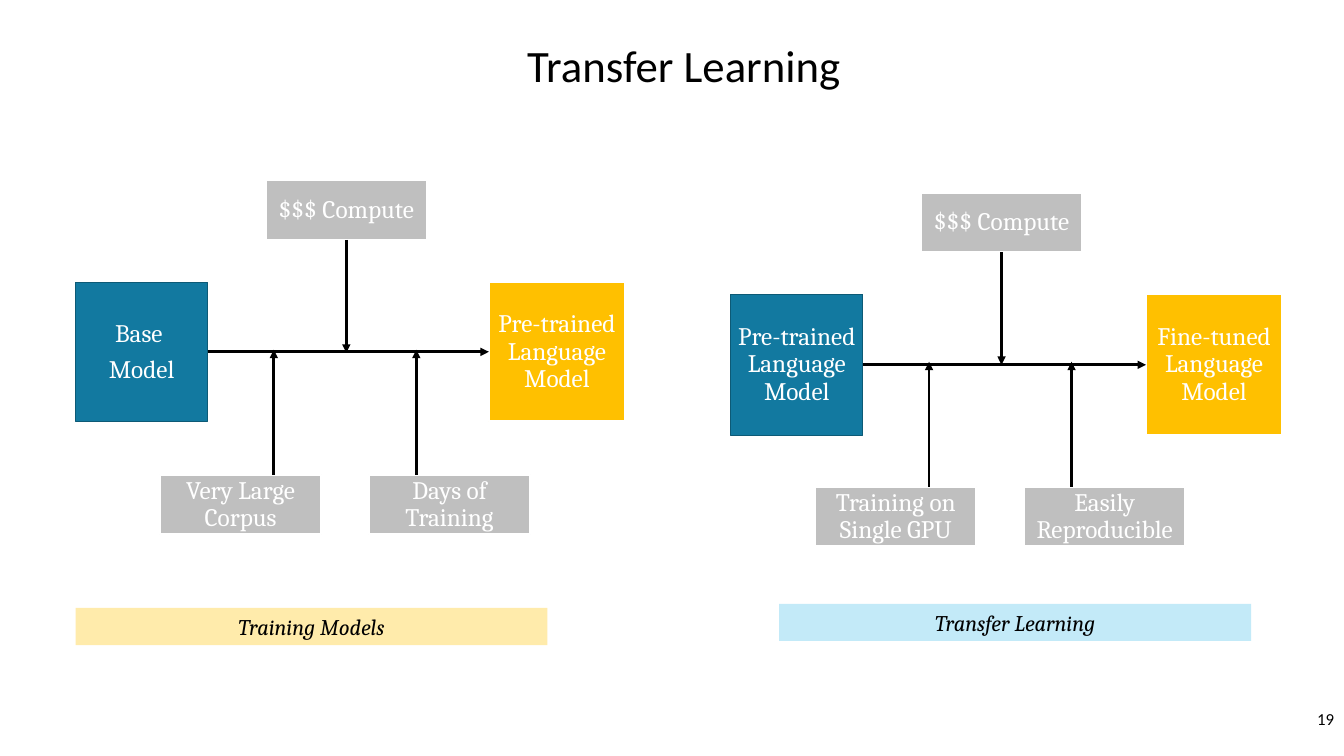
import pptx
import pptx.util
import pptx.dml.color
import pptx.enum.shapes
import pptx.enum.text
import pptx.oxml
import pptx.oxml.ns

Pt = pptx.util.Pt
ALIGN = pptx.enum.text.PP_ALIGN
ANCHOR = pptx.enum.text.MSO_ANCHOR


def color(value):
    return pptx.dml.color.RGBColor.from_string(value)


def add_box(place, lines, fill=None, border=None, border_width=1.5, size=18, font="Cambria",
            ink="FFFFFF", italic=False, align=ALIGN.CENTER, anchor=ANCHOR.MIDDLE,
            insets=(1.44, 1.44), spacing=None, after=None):
    box = slide.shapes.add_shape(pptx.enum.shapes.MSO_SHAPE.RECTANGLE, *[Pt(n) for n in place])
    box.shadow.inherit = False
    if fill:
        box.fill.solid()
        box.fill.fore_color.rgb = color(fill)
    else:
        box.fill.background()
    if border:
        box.line.color.rgb = color(border)
        box.line.width = Pt(border_width)
    else:
        box.line.fill.background()
    frame = box.text_frame
    frame.word_wrap = True
    frame.vertical_anchor = anchor
    frame.margin_left = frame.margin_right = Pt(insets[0])
    frame.margin_top = frame.margin_bottom = Pt(insets[1])
    for index, line in enumerate(lines):
        para = frame.add_paragraph() if index else frame.paragraphs[0]
        para.alignment = align
        if spacing:
            para.line_spacing = spacing
            para.space_after = Pt(after)
        span = para.add_run()
        span.text = line
        span.font.size = Pt(size)
        span.font.name = font
        span.font.italic = italic
        span.font.color.rgb = color(ink)
    return box


def add_arrow(x1, y1, x2, y2):
    arrow = slide.shapes.add_connector(pptx.enum.shapes.MSO_CONNECTOR.STRAIGHT,
                                       Pt(x1), Pt(y1), Pt(x2), Pt(y2))
    arrow.line.color.rgb = color("000000")
    arrow.line.width = Pt(2)
    properties = arrow._element.spPr
    head = pptx.oxml.parse_xml('<a:tailEnd %s type="triangle"/>' % pptx.oxml.ns.nsdecls("a"))
    properties.find(pptx.oxml.ns.qn("a:ln")).append(head)
    properties.append(pptx.oxml.parse_xml("<a:effectLst %s/>" % pptx.oxml.ns.nsdecls("a")))
    return arrow


deck = pptx.Presentation()
deck.slide_width = Pt(960)
deck.slide_height = Pt(540)
slide = deck.slides.add_slide(deck.slide_layouts[6])

add_box((324.7, 10, 327.6, 65), ["Transfer Learning"], size=32, font="Calibri", ink="000000",
        anchor=ANCHOR.BOTTOM, insets=(9.36, 9.36))
add_box((0, 487.5, 960, 52.5), ["19"], fill="FFFFFF", size=12, font="Calibri", ink="000000",
        align=ALIGN.RIGHT, insets=(7.2, 7.2))

diagrams = [
    (54, 201.6, 99.4, 349.2, ["Base ", "Model"], "Pre-trained Language Model",
     "Very Large Corpus", "Days of Training"),
    (522, 210.2, 100.8, 818.6, ["Pre-trained Language Model"], "Fine-tuned Language Model",
     "Training on Single GPU", "Easily Reproducible"),
]
model_text = {"spacing": 0.9, "after": 6.3}
gray_label = {"fill": "BFBFBF", "border": "FFFFFF", **model_text}

for left, top, height, result_left, start_lines, result, first_input, second_input in diagrams:
    start_box = add_box((left, top, 94.3, height), start_lines, fill="1279A0",
                        border="0D5A76", border_width=1, **model_text)
    result_box = add_box((result_left, top, 97.2, height), [result], fill="FFC000",
                         border="FFFFFF", **model_text)
    compute_box = add_box((left + 135.8, top - 72.7, 115.2, 42.5), ["$$$ Compute"], **gray_label)

    flow = add_arrow(left + 94.3, top + 49, result_left, top + 49)
    flow.begin_connect(start_box, 3)
    flow.end_connect(result_box, 1)
    supply = add_arrow(left + 193.4, top - 30.2, left + 193.4, top + 50.4)
    supply.begin_connect(compute_box, 2)

    for label, label_left, arrow_x in [(first_input, 60.3, 141.6), (second_input, 209.5, 243.4)]:
        add_box((left + label_left, top + 137.5, 115.2, 42.5), [label], **gray_label)
        add_arrow(left + arrow_x, top + 137.5, left + arrow_x, top + 48.2)

for caption, left, top, fill in [("Training Models", 54, 434.2, "FFEBAB"),
                                 ("Transfer Learning", 556.6, 431.3, "C3EAF8")]:
    add_box((left, top, 337, 26.6), [caption], fill=fill, size=16, ink="000000", italic=True,
            anchor=ANCHOR.TOP, insets=(7.2, 3.6))

deck.save("out.pptx")
